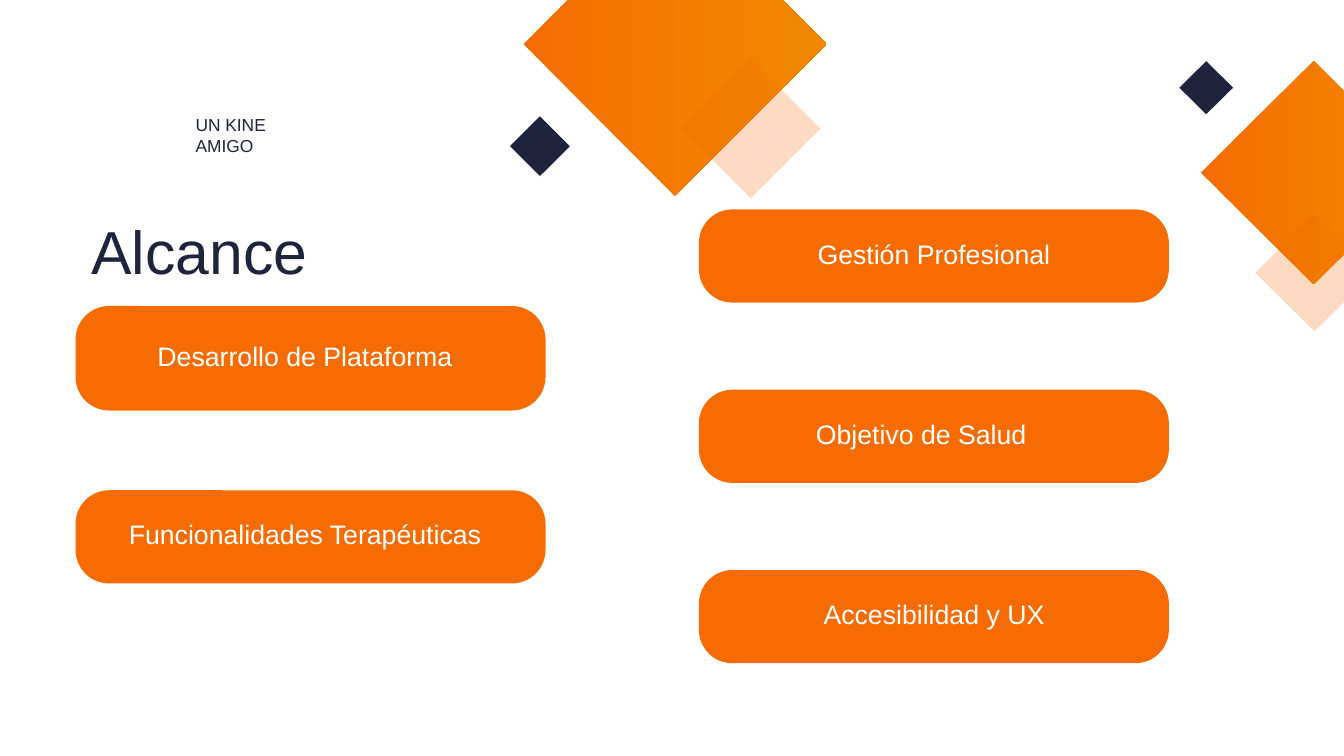
from typing import NamedTuple

from lxml import etree
from pptx import Presentation
from pptx.dml.color import RGBColor
from pptx.enum.shapes import MSO_SHAPE
from pptx.enum.text import MSO_ANCHOR, MSO_AUTO_SIZE, PP_ALIGN
from pptx.oxml.ns import qn
from pptx.util import Inches, Pt

DIAMOND = MSO_SHAPE.DIAMOND
ROUNDED = MSO_SHAPE.ROUNDED_RECTANGLE
LEFT, CENTER = PP_ALIGN.LEFT, PP_ALIGN.CENTER
TOP = MSO_ANCHOR.TOP
NO_AUTOFIT = MSO_AUTO_SIZE.NONE

SLIDE_WIDTH, SLIDE_HEIGHT = Inches(20), Inches(11.25)
FONT = "Arial"
COLORS = {
    "navy": "1D243B",
    "orange": "F66C02",
    "gradient_start": "F56D02",
    "gradient_end": "F18800",
    "white": "FFFFFF",
}
CARD_WIDTH, CARD_HEIGHT = 34.97, 12.33
CARD_RADIUS = Inches(0.5)
LABEL_HEIGHT, LABEL_RISE = 4.62, 0.2
LEFT_COLUMN, RIGHT_COLUMN = 5.62, 52
RIGHT_TOP, RIGHT_STEP = 27.7, 23.85


class Box(NamedTuple):
    """Percentages of the slide's width and height."""
    left: float
    top: float
    width: float
    height: float

    def lengths(self) -> tuple:
        return (
            round(self.left * SLIDE_WIDTH / 100),
            round(self.top * SLIDE_HEIGHT / 100),
            round(self.width * SLIDE_WIDTH / 100),
            round(self.height * SLIDE_HEIGHT / 100),
        )


class Diamond(NamedTuple):
    box: Box
    style: str


class Card(NamedTuple):
    text: str
    left: float
    top: float
    label_width: float
    label_shift: float = 0
    height: float = CARD_HEIGHT


DIAMONDS = [
    Diamond(Box(38.95, -14.22, 22.55, 40.09), "gradient"),
    Diamond(Box(89.35, 8.09, 16.8, 29.51), "gradient"),
    Diamond(Box(37.95, 15.38, 4.45, 7.91), "solid"),
    Diamond(Box(87.75, 8.09, 4, 7.02), "solid"),
    Diamond(Box(50.7, 7.82, 10.35, 18.4), "translucent"),
    Diamond(Box(93.4, 28.36, 8.8, 15.47), "translucent"),
]
CARDS = [
    Card("Desarrollo de Plataforma", LEFT_COLUMN, 40.48, 25.2, -0.42, 13.82),
    Card("Funcionalidades Terapéuticas", LEFT_COLUMN, 64.85, 29.5, -0.42),
    Card("Gestión Profesional", RIGHT_COLUMN, RIGHT_TOP, 19.5),
    Card("Objetivo de Salud", RIGHT_COLUMN, RIGHT_TOP + RIGHT_STEP, 17.65, -0.95),
    Card("Accesibilidad y UX", RIGHT_COLUMN, RIGHT_TOP + 2 * RIGHT_STEP, 18.25),
]


def color(name: str) -> RGBColor:
    return RGBColor.from_string(COLORS[name])


def add_plain_shape(slide, kind, box: Box, fill_color: str):
    shape = slide.shapes.add_shape(kind, *box.lengths())
    shape.shadow.inherit = False
    shape.line.fill.background()
    shape.fill.solid()
    shape.fill.fore_color.rgb = color(fill_color)
    return shape


def add_diamond(slide, diamond: Diamond) -> None:
    fill_color = "navy" if diamond.style == "solid" else "orange"
    shape = add_plain_shape(slide, DIAMOND, diamond.box, fill_color)
    if diamond.style == "gradient":
        shape.fill.gradient()
        shape.fill.gradient_angle = 0
        for stop, name in zip(shape.fill.gradient_stops, ("gradient_start", "gradient_end")):
            stop.color.rgb = color(name)
    elif diamond.style == "translucent":
        fill = shape.element.spPr.find(qn("a:solidFill"))
        etree.SubElement(fill[0], qn("a:alpha"), val="24000")


def write_text(shape, lines: list, size: float, spacing: float, font_color: str, alignment) -> None:
    frame = shape.text_frame
    frame.text = "\n".join(lines)
    frame.word_wrap = True
    frame.auto_size = NO_AUTOFIT
    frame.vertical_anchor = TOP
    frame.margin_left = frame.margin_top = frame.margin_right = frame.margin_bottom = 0
    for paragraph in frame.paragraphs:
        paragraph.alignment = alignment
        paragraph.line_spacing = Pt(spacing)
        paragraph.space_before = Pt(0)
        paragraph.font.name = FONT
        paragraph.font.size = Pt(size)
        paragraph.font.color.rgb = color(font_color)


def add_title(slide, text: str, box: Box) -> None:
    title = slide.shapes.title
    title.left, title.top, title.width, title.height = box.lengths()
    write_text(title, [text], 65, 74.8, "navy", LEFT)


def add_card(slide, card: Card) -> None:
    box = Box(card.left, card.top, CARD_WIDTH, card.height)
    shape = add_plain_shape(slide, ROUNDED, box, "orange")
    shape.adjustments[0] = CARD_RADIUS / shape.height
    label_box = Box(
        card.left + (CARD_WIDTH - card.label_width) / 2 + card.label_shift,
        card.top + (card.height - LABEL_HEIGHT) / 2 - LABEL_RISE,
        card.label_width,
        LABEL_HEIGHT,
    )
    label = slide.shapes.add_textbox(*label_box.lengths())
    write_text(label, [card.text], 28.6, 34.7, "white", CENTER)


def main() -> None:
    presentation = Presentation()
    presentation.slide_width, presentation.slide_height = SLIDE_WIDTH, SLIDE_HEIGHT
    slide = presentation.slides.add_slide(presentation.slide_layouts.get_by_name("Title Only"))
    add_title(slide, "Alcance", Box(6.8, 28.71, 38.75, 9.96))
    for diamond in DIAMONDS:
        add_diamond(slide, diamond)
    project_name = slide.shapes.add_textbox(*Box(14.55, 15.11, 10.15, 5.78).lengths())
    write_text(project_name, ["UN KINE", "AMIGO"], 18.6, 22.6, "navy", LEFT)
    for card in CARDS:
        add_card(slide, card)
    presentation.save("out.pptx")


if __name__ == "__main__":
    main()
